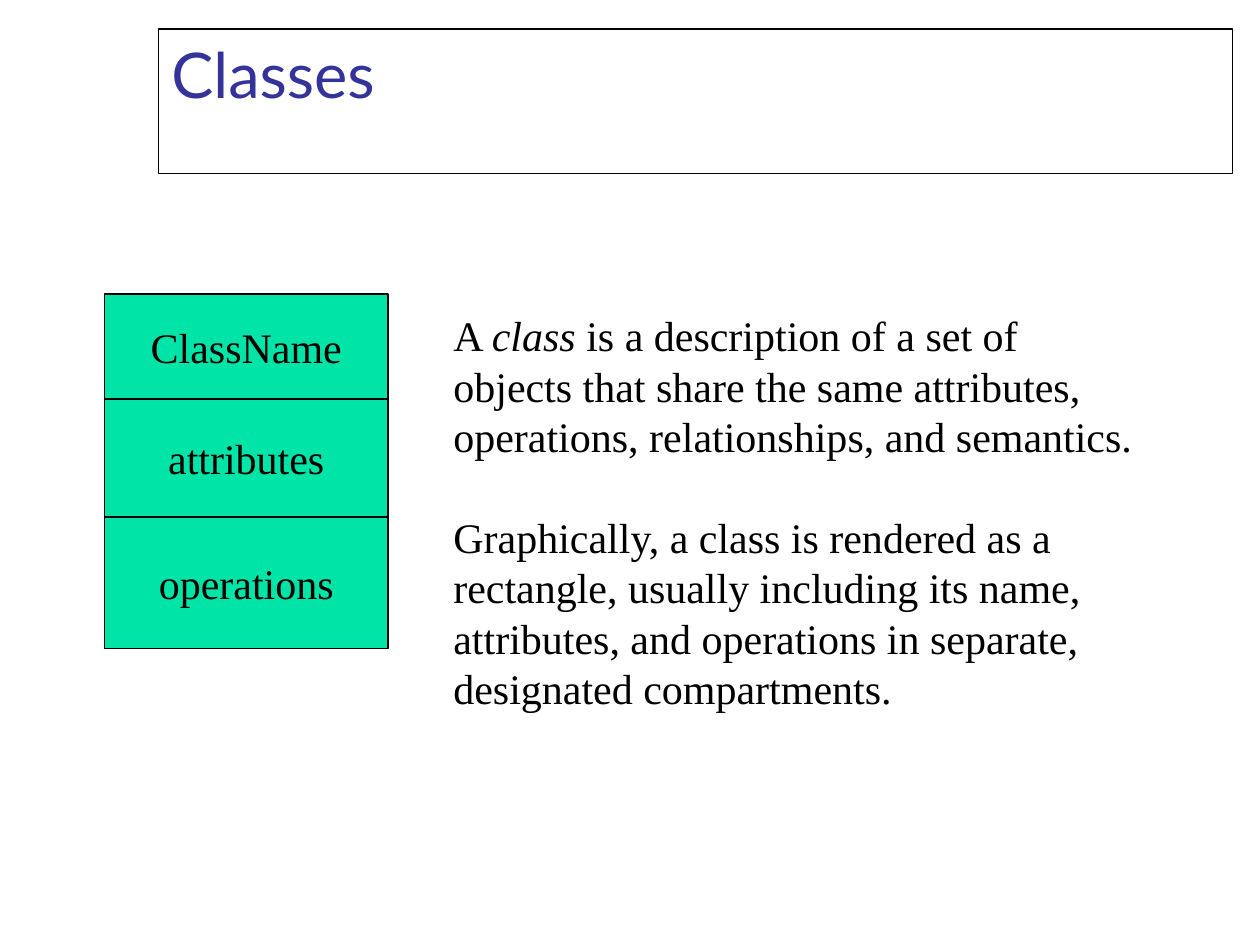
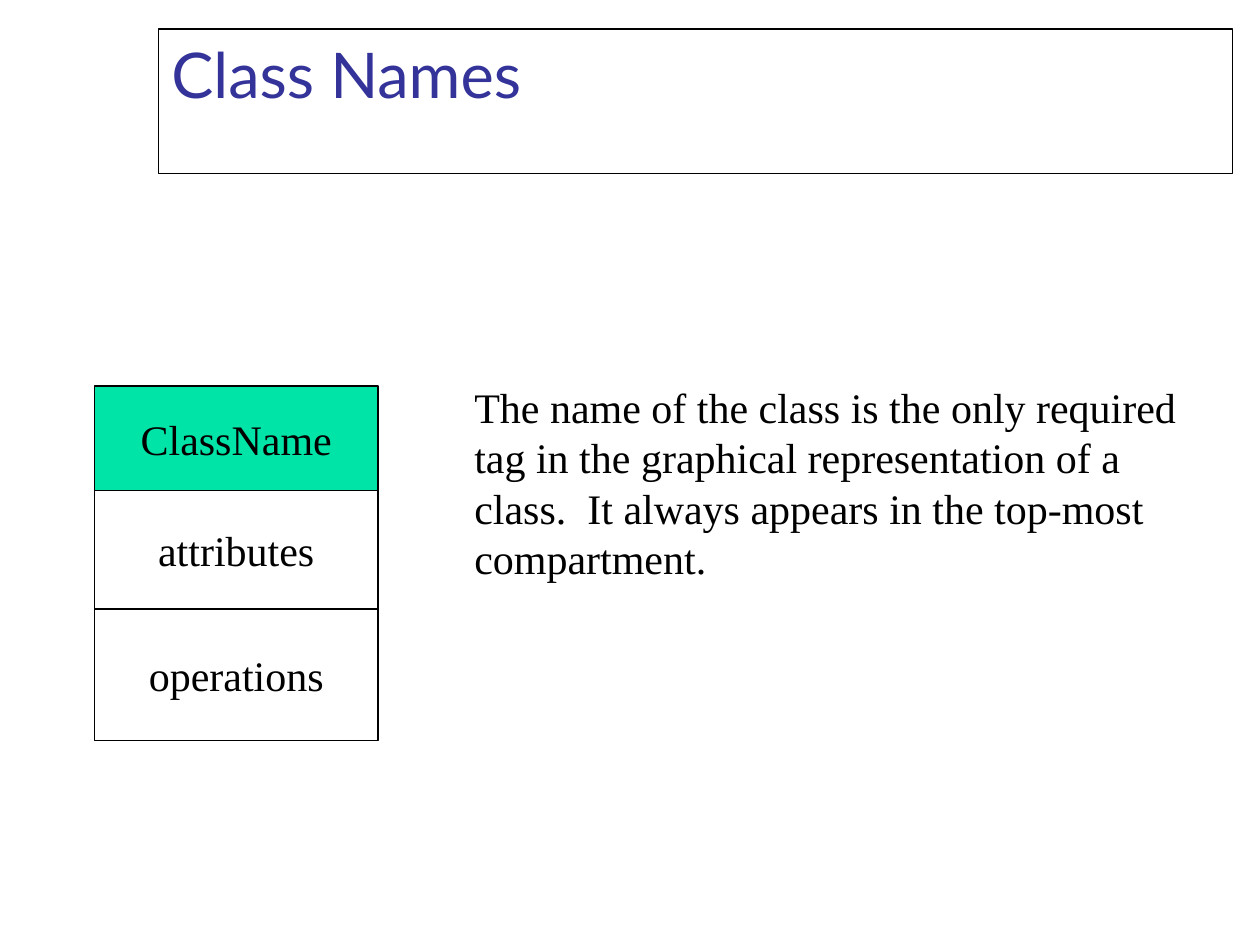
import pptx
import pptx.util
import pptx.dml.color
import pptx.enum.shapes
import pptx.enum.text

Pt = pptx.util.Pt
RGB = pptx.dml.color.RGBColor
Align = pptx.enum.text.PP_ALIGN
Anchor = pptx.enum.text.MSO_ANCHOR
Fit = pptx.enum.text.MSO_AUTO_SIZE
RECT = pptx.enum.shapes.MSO_SHAPE.RECTANGLE

BLACK = RGB(0x00, 0x00, 0x00)
WHITE = RGB(0xFF, 0xFF, 0xFF)
GREEN = RGB(0x00, 0xE4, 0xA8)
BLUE = RGB(0x33, 0x33, 0x99)
LEAD = 28.8
PARTS = [("ClassName", 60), ("attributes", 67.5), ("operations", 75)]

pages = [
    {
        "title": "Classes",
        "stack": (59.76, 168),
        "fills": [GREEN, GREEN, GREEN],
        "note": (252, 173.5, 437, 237.6),
        "text": [
            ["A *class* is a description of a set of",
             "objects that share the same attributes,",
             "operations, relationships, and semantics."],
            ["Graphically, a class is rendered as a",
             "rectangle, usually including its name,",
             "attributes, and operations in separate,",
             "designated compartments."],
        ],
    },
    {
        "title": "Class Names",
        "stack": (54, 220.5),
        "fills": [GREEN, WHITE, WHITE],
        "note": (264, 214.5, 432, 122.4),
        "text": [
            ["The name of the class is the only required tag in the "
             "graphical representation of a class.  It always appears "
             "in the top-most compartment."],
        ],
    },
]


def paint(shape, fill):
    shape.fill.solid()
    shape.fill.fore_color.rgb = fill
    shape.line.color.rgb = BLACK
    shape.line.width = Pt(0.75)


def style(para, font, size, color, align):
    para.alignment = align
    for run in para.runs:
        run.font.name = font
        run.font.size = Pt(size)
        run.font.color.rgb = color


deck = pptx.Presentation()
deck.slide_width, deck.slide_height = Pt(720), Pt(540)

for page in pages:
    slide = deck.slides.add_slide(deck.slide_layouts[5])
    title = slide.shapes.title
    title.left, title.top = Pt(90.72), Pt(16.56)
    title.width, title.height = Pt(613.44), Pt(82.8)
    paint(title, WHITE)
    frame = title.text_frame
    frame.text = page["title"]
    frame.vertical_anchor = Anchor.TOP
    frame.auto_size = Fit.NONE
    style(frame.paragraphs[0], "Lato", 36, BLUE, Align.LEFT)

    group = slide.shapes.add_group_shape()
    left, top = page["stack"]
    for (name, height), fill in zip(PARTS, page["fills"]):
        box = group.shapes.add_shape(RECT, Pt(left), Pt(top), Pt(162), Pt(height))
        box.shadow.inherit = False
        paint(box, fill)
        frame = box.text_frame
        frame.text = name
        frame.word_wrap = False
        frame.vertical_anchor = Anchor.MIDDLE
        para = frame.paragraphs[0]
        para.line_spacing = Pt(LEAD)
        style(para, "Times New Roman", 24, BLACK, Align.CENTER)
        top += height

    note = slide.shapes.add_textbox(*[Pt(v) for v in page["note"]])
    frame = note.text_frame
    frame.word_wrap = True
    frame.auto_size = Fit.SHAPE_TO_FIT_TEXT
    para = frame.paragraphs[0]
    for b, block in enumerate(page["text"]):
        for n, line in enumerate(block):
            if b or n:
                para = frame.add_paragraph()
            if b and n == 0:
                para.space_before = Pt(LEAD)
            para.line_spacing = Pt(LEAD)
            for i, piece in enumerate(line.split("*")):
                run = para.add_run()
                run.text = piece
                run.font.italic = i % 2 == 1
            style(para, "Times New Roman", 24, BLACK, Align.LEFT)

deck.save("out.pptx")
